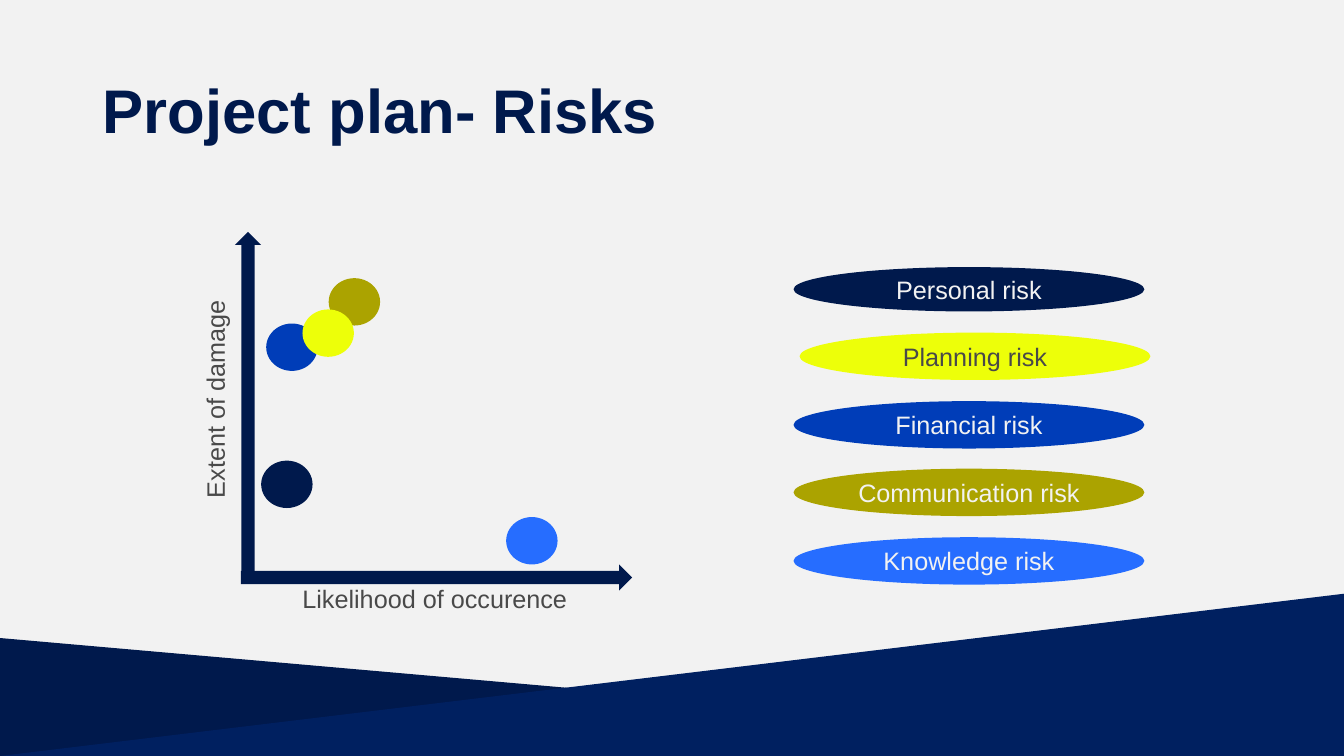
from pptx import Presentation
from pptx.dml.color import RGBColor
from pptx.enum.shapes import MSO_SHAPE
from pptx.enum.text import MSO_ANCHOR, MSO_AUTO_SIZE, PP_ALIGN
from pptx.util import Inches, Pt

NAVY, BLUE, SKY = "00194C", "003DB8", "266DFF"
YELLOW, GOLD = "EDFF09", "ABA300"
LIGHT, GREY = "F2F2F2", "494949"


def color(code):
    return RGBColor.from_string(code)


def style(para, text, size, code, bold=False):
    para.text = text
    font = para.font
    font.name, font.size, font.bold = "Arial", Pt(size), bold
    font.color.rgb = color(code)


def add_form(slide, kind, box, fill):
    form = slide.shapes.add_shape(kind, *map(Inches, box))
    form.shadow.inherit = False
    form.fill.solid()
    form.fill.fore_color.rgb = color(fill)
    form.line.fill.background()
    return form


def add_slope(slide, top, peak, fill):
    box = (0, top, 13.33, 7.5 - top)
    slope = add_form(slide, MSO_SHAPE.ISOSCELES_TRIANGLE, box, fill)
    slope.adjustments[0] = peak


def add_label(slide, text, box, turn=0):
    label = slide.shapes.add_textbox(*map(Inches, box))
    label.rotation = turn
    frame = label.text_frame
    frame.word_wrap = False
    frame.auto_size = MSO_AUTO_SIZE.SHAPE_TO_FIT_TEXT
    style(frame.paragraphs[0], text, 18, GREY)


def add_key(slide, text, left, top, high, fill, ink):
    key = add_form(slide, MSO_SHAPE.OVAL, (left, top, 3.48, high), fill)
    key.text_frame.vertical_anchor = MSO_ANCHOR.MIDDLE
    para = key.text_frame.paragraphs[0]
    style(para, text, 18, ink)
    para.alignment = PP_ALIGN.CENTER


def set_title(slide, text):
    title = slide.shapes.title
    title.left, title.top = Inches(0.92), Inches(0.4)
    title.width, title.height = Inches(11.5), Inches(1.45)
    frame = title.text_frame
    frame.word_wrap = True
    frame.auto_size = MSO_AUTO_SIZE.NONE
    frame.vertical_anchor = MSO_ANCHOR.MIDDLE
    para = frame.paragraphs[0]
    style(para, text, 44, NAVY, True)
    para.alignment = PP_ALIGN.LEFT
    para.line_spacing = 0.9


def main():
    deck = Presentation()
    deck.slide_width, deck.slide_height = Inches(13.33), Inches(7.5)
    slide = deck.slides.add_slide(deck.slide_layouts[5])

    # Background and title
    slide.background.fill.solid()
    slide.background.fill.fore_color.rgb = color(LIGHT)
    add_slope(slide, 6.33, 0, NAVY)
    add_slope(slide, 5.89, 1, "002060")
    set_title(slide, "Project plan- Risks")

    # Axes
    add_form(slide, MSO_SHAPE.UP_ARROW, (2.33, 2.3, 0.26, 3.44), NAVY)
    add_form(slide, MSO_SHAPE.RIGHT_ARROW, (2.39, 5.6, 3.88, 0.26), NAVY)
    add_label(slide, "Likelihood of occurence", (2.9, 5.74, 2.85, 0.4))
    add_label(slide, "Extent of damage", (1.04, 3.75, 2.18, 0.4), 270)

    # Risks on the map
    spots = [
        (3.26, 2.76, GOLD),
        (2.59, 4.57, NAVY),
        (2.64, 3.21, BLUE),
        (3, 3.07, YELLOW),
        (5.02, 5.13, SKY),
    ]
    for left, top, fill in spots:
        add_form(slide, MSO_SHAPE.OVAL, (left, top, 0.51, 0.47), fill)

    # Legend
    keys = [
        ("Personal risk", 7.87, 2.65, 0.44, NAVY, LIGHT),
        ("Planning risk", 7.93, 3.3, 0.47, YELLOW, GREY),
        ("Financial risk", 7.87, 3.98, 0.47, BLUE, LIGHT),
        ("Communication risk", 7.87, 4.65, 0.47, GOLD, LIGHT),
        ("Knowledge risk", 7.87, 5.33, 0.47, SKY, LIGHT),
    ]
    for key in keys:
        add_key(slide, *key)

    deck.save("out.pptx")


if __name__ == "__main__":
    main()
